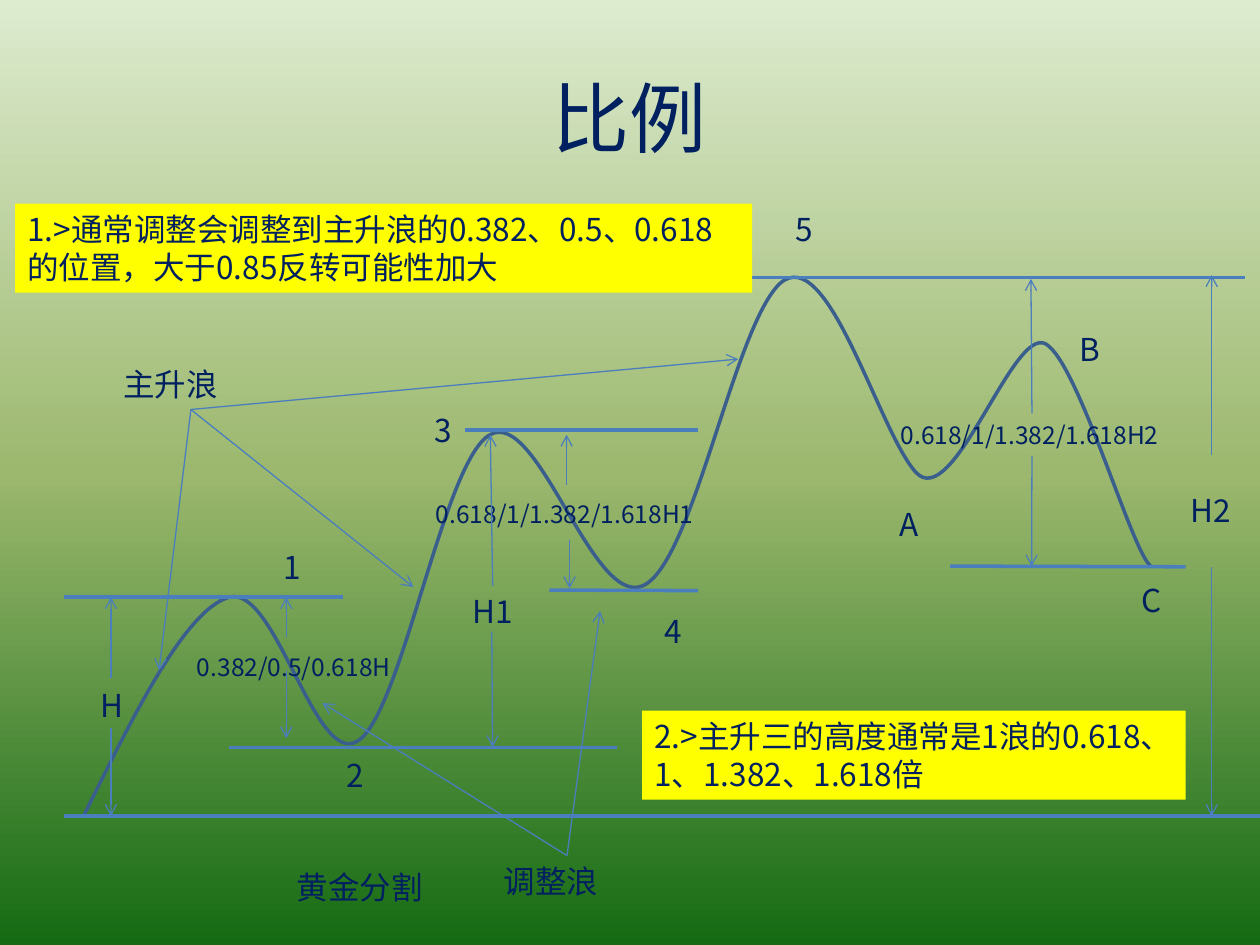
from copy import deepcopy
from dataclasses import dataclass

from lxml import etree
from pptx import Presentation
from pptx.dml.color import RGBColor
from pptx.enum.shapes import MSO_CONNECTOR, MSO_SHAPE
from pptx.enum.text import MSO_ANCHOR, MSO_AUTO_SIZE, PP_ALIGN
from pptx.oxml.ns import qn
from pptx.util import Pt

LINE = MSO_CONNECTOR.STRAIGHT
RECT = MSO_SHAPE.RECTANGLE
LEFT, CENTER = PP_ALIGN.LEFT, PP_ALIGN.CENTER
TOP, MIDDLE = MSO_ANCHOR.TOP, MSO_ANCHOR.MIDDLE
FIXED, GROW = MSO_AUTO_SIZE.NONE, MSO_AUTO_SIZE.SHAPE_TO_FIT_TEXT

NAVY = RGBColor(0x00, 0x20, 0x60)
BLUE = RGBColor(0x4B, 0x7E, 0xBC)
STEEL = RGBColor(0x3A, 0x5F, 0x8C)
YELLOW = RGBColor(0xFF, 0xFF, 0x00)
PALE = RGBColor(0xDD, 0xEB, 0xCF)
OLIVE = RGBColor(0x9C, 0xB8, 0x6E)
GREEN = RGBColor(0x15, 0x6B, 0x13)
FONT = "Noto Sans CJK SC"


@dataclass
class Label:
    text: str
    x: float
    y: float
    w: float = 17.3
    h: float = 28.8
    size: float = 18
    align: int = LEFT
    fill: RGBColor | None = None
    wrap: bool = True


@dataclass
class Rule:
    x: float
    y: float
    end_x: float
    end_y: float


@dataclass
class Arrow(Rule):
    label: str = ""
    site: int = 0


RISE, FALL = "主升浪", "调整浪"
RATIO = "0.618/1/1.382/1.618H2"

PARTS = [
    Rule(195.8, 341.3, 36.7, 341.3),
    Rule(720, 466.3, 36.7, 466.3),
    Rule(398.9, 337.5, 313.9, 337.2),
    Rule(711.4, 158.6, 429.8, 158.6),
    Arrow(63.4, 416.2, 63.4, 466.3),
    Arrow(63.4, 387.4, 63.4, 341.3),
    Label("H", 50.4, 388.4),
    Arrow(163.6, 383, 163.6, 421.9),
    Arrow(163.6, 364.3, 163.6, 341.3),
    Label("0.382/0.5/0.618H", 105.5, 368.8, 129.6, 24.2, 14),
    Arrow(325.5, 308.4, 325.5, 336.2),
    Arrow(323.8, 277.2, 323.8, 248.4),
    Label("0.618/1/1.382/1.618H1", 241.9, 281.5, 164.9, 24.2, 14),
    Label(FALL, 280.8, 488.9, 86.4),
    Label(RISE, 63.4, 205.2, 91.4),
    Arrow(109.4, 234, 90.9, 383, RISE, 2),
    Arrow(109.4, 234, 236.2, 335.5, RISE, 2),
    Arrow(109.4, 234, 421.9, 205.2, RISE, 2),
    Arrow(324, 488.9, 184.3, 401.8, FALL),
    Arrow(324, 488.9, 342.9, 349.2, FALL),
    Label("1.>通常调整会调整到主升浪的0.382、0.5、0.618的位置，大于0.85反转可能性加大",
          8.6, 116.4, 421.2, 50.9, fill=YELLOW),
    Label("2.>主升三的高度通常是1浪的0.618、1、1.382、1.618倍",
          366.9, 406.1, 310.6, 50.9, fill=YELLOW),
    Label("1", 154.8, 309.4),
    Label("2", 190.8, 428.2),
    Label("3", 241.2, 231.1),
    Label("4", 372.5, 346.3),
    Label("5", 447.8, 116.6),
    Label("黄金分割", 162.4, 492.5, 105.1),
    Rule(352.8, 427.2, 131, 427.2),
    Rule(398.9, 245.7, 265.7, 245.7),
    Arrow(281, 361, 281.5, 427),
    Arrow(281.5, 334.8, 280.2, 248.4, "H1"),
    Label("H1", 254.2, 334.8, 54.7, align=CENTER),
    Label("A", 506.9, 285.1, 23.8, wrap=False),
    Label("B", 609.6, 185, 24.5, wrap=False),
    Label("C", 645.1, 328.3, 24.5, wrap=False),
    Rule(677.5, 323.9, 542.9, 323.5),
    Arrow(589.5, 260.2, 589.5, 323.7, RATIO, 2),
    Arrow(589.5, 236.2, 589.1, 159.4, RATIO),
    Label(RATIO, 507.6, 236.2, 164.2, 24.2, 14),
    Arrow(692.4, 324, 692.4, 466.3),
    Arrow(692.4, 259.9, 692.4, 157.2),
    Label("H2", 671.8, 277.2, 39.6, align=CENTER),
]

WAVE = [
    (47.7, 466.4),
    (74.2, 413.3), (105.1, 348.5), (131, 341.3),
    (157.7, 334.1), (180, 439.2), (204.5, 423.4),
    (229.7, 407.5), (253.4, 262.8), (280.1, 248.4),
    (307.4, 233.3), (338.4, 347), (367.2, 334.8),
    (396, 322.6), (419, 187.2), (445.7, 162),
    (473, 137.5), (501.8, 246.2), (523.4, 270),
    (545, 293), (578.9, 185.8), (597.6, 196.6),
    (616.3, 207.4), (646.6, 315), (657.4, 323.3),
]
CREST = 158.4


def write(shape, text: str, *, size: float = 18, align: int = LEFT, anchor: int = TOP,
          wrap: bool = True, fit: int = GROW) -> None:
    frame = shape.text_frame
    frame.word_wrap = wrap
    frame.auto_size = fit
    frame.vertical_anchor = anchor
    para = frame.paragraphs[0]
    para.alignment = align
    run = para.add_run()
    run.text = text
    run.font.size = Pt(size)
    run.font.color.rgb = NAVY
    run.font.name = FONT
    etree.SubElement(run.font._element, qn("a:ea")).set("typeface", FONT)


def paint(slide) -> None:
    fill = slide.background.fill
    fill.gradient()
    fill.gradient_angle = 270
    stops = next(slide.element.iter(qn("a:gsLst")))
    stops.insert(1, deepcopy(stops[0]))
    for stop, color, place in zip(fill.gradient_stops, (PALE, OLIVE, GREEN), (0, 0.5, 1)):
        stop.color.rgb = color
        stop.position = place


def draw_wave(slide) -> None:
    left, base = WAVE[0]
    pen = slide.shapes.build_freeform(Pt(left), Pt(base))
    pen.add_line_segments([(Pt(WAVE[-1][0]), Pt(CREST))], close=False)
    wave = pen.convert_to_shape()
    route = next(wave._element.iter(qn("a:path")))
    route.remove(route[-1])
    for i in range(1, len(WAVE), 3):
        bend = etree.SubElement(route, qn("a:cubicBezTo"))
        for x, y in WAVE[i:i + 3]:
            dot = etree.SubElement(bend, qn("a:pt"))
            dot.set("x", str(Pt(x) - Pt(left)))
            dot.set("y", str(Pt(y) - Pt(CREST)))
    wave.shadow.inherit = False
    wave.fill.background()
    wave.line.color.rgb = STEEL
    wave.line.width = Pt(2)


def draw_label(slide, item: Label):
    area = Pt(item.x), Pt(item.y), Pt(item.w), Pt(item.h)
    if item.fill is None:
        box = slide.shapes.add_textbox(*area)
    else:
        box = slide.shapes.add_shape(RECT, *area)
        box.shadow.inherit = False
        box.fill.solid()
        box.fill.fore_color.rgb = item.fill
        box.line.fill.background()
    write(box, item.text, size=item.size, align=item.align, wrap=item.wrap)
    return box


def draw_line(slide, item: Rule):
    line = slide.shapes.add_connector(
        LINE, Pt(item.x), Pt(item.y), Pt(item.end_x), Pt(item.end_y))
    line.line.color.rgb = BLUE
    line.line.width = Pt(2)
    if isinstance(item, Arrow):
        line.line.width = Pt(0.75)
        etree.SubElement(line.line._get_or_add_ln(), qn("a:tailEnd")).set("type", "arrow")
    etree.SubElement(line._element.spPr, qn("a:effectLst"))
    return line


def main() -> None:
    deck = Presentation()
    deck.slide_width, deck.slide_height = Pt(720), Pt(540)
    slide = deck.slides.add_slide(deck.slide_layouts[5])
    paint(slide)
    title = slide.shapes.title
    title.left, title.top, title.width, title.height = Pt(36), Pt(21.6), Pt(648), Pt(90)
    write(title, "比例", size=44, align=CENTER, anchor=MIDDLE, fit=FIXED)
    draw_wave(slide)
    boxes, joins = {}, []
    for item in PARTS:
        if isinstance(item, Label):
            boxes[item.text] = draw_label(slide, item)
            continue
        line = draw_line(slide, item)
        if isinstance(item, Arrow) and item.label:
            joins.append((line, item))
    for line, item in joins:
        line.begin_connect(boxes[item.label], item.site)
    deck.save("out.pptx")


if __name__ == "__main__":
    main()
